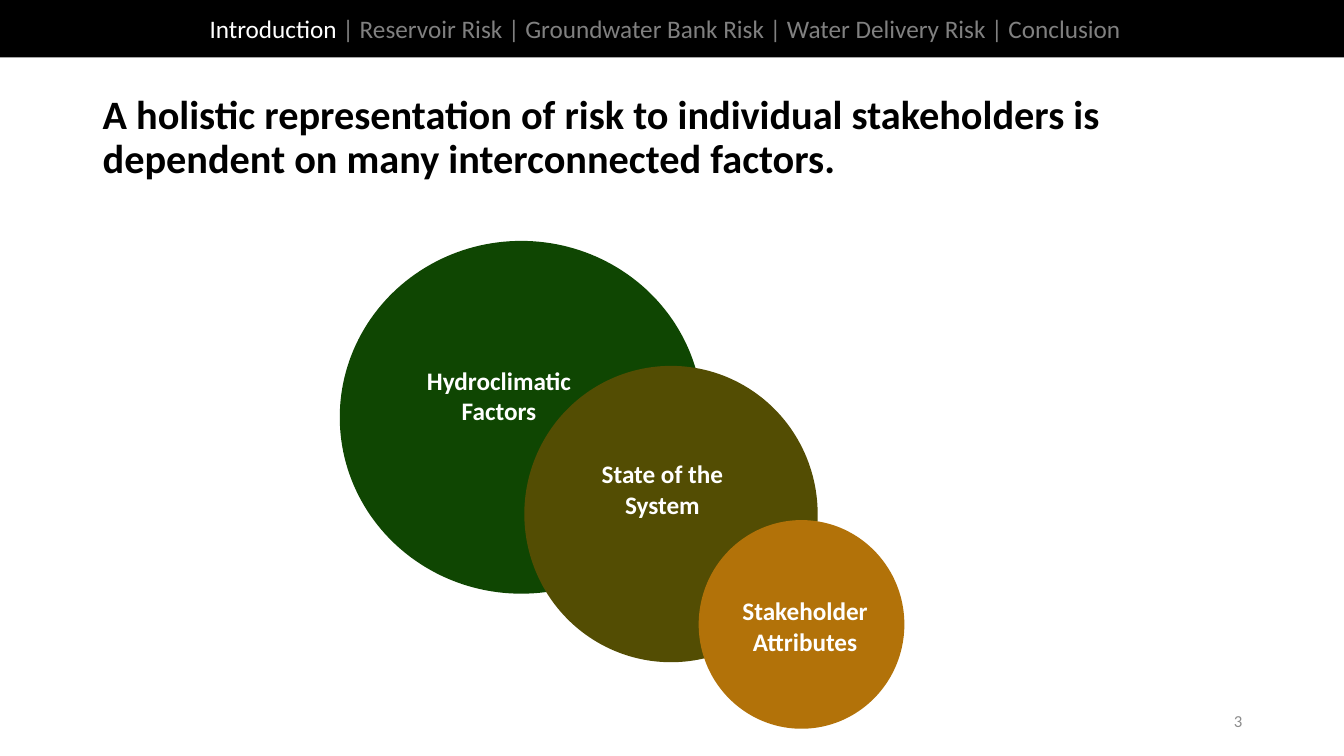
"""Build a slide on the interconnected factors behind stakeholder risk."""
from dataclasses import dataclass

from pptx import Presentation
from pptx.dml.color import RGBColor
from pptx.enum.shapes import MSO_SHAPE
from pptx.enum.text import MSO_ANCHOR, PP_ALIGN
from pptx.util import Inches, Pt


@dataclass(frozen=True)
class Theme:
    font: str = "Calibri"
    black: str = "000000"
    white: str = "FFFFFF"
    muted: str = "808080"
    number: str = "8C8C8C"
    hydroclimate: str = "0F4602"
    system: str = "534D03"
    stakeholder: str = "B27209"
    title_size: float = 28.8
    body_size: float = 18
    number_size: float = 12


theme = Theme()


def add_filled_shape(slide, kind, box, color):
    shape = slide.shapes.add_shape(kind, *map(Inches, box))
    shape.shadow.inherit = False
    shape.fill.solid()
    shape.fill.fore_color.rgb = RGBColor.from_string(color)
    shape.line.fill.background()
    return shape


def write_text(shape, text, size, color, alignment, bold=False, anchor=MSO_ANCHOR.TOP):
    frame = shape.text_frame
    frame.word_wrap = True
    frame.vertical_anchor = anchor
    frame.text = text
    for paragraph in frame.paragraphs:
        paragraph.alignment = alignment
        for run in paragraph.runs:
            run.font.name = theme.font
            run.font.size = Pt(size)
            run.font.bold = bold
            run.font.color.rgb = RGBColor.from_string(color)


presentation = Presentation()
presentation.slide_width = Inches(13.33)
presentation.slide_height = Inches(7.5)
slide = presentation.slides.add_slide(presentation.slide_layouts[6])

title = slide.shapes.add_textbox(Inches(0.92), Inches(0.65), Inches(11.5), Inches(1.45))
write_text(
    title,
    "A holistic representation of risk to individual stakeholders is "
    "dependent on many interconnected factors.",
    theme.title_size, theme.black, PP_ALIGN.LEFT, bold=True, anchor=MSO_ANCHOR.MIDDLE,
)
title.text_frame.paragraphs[0].line_spacing = 0.9

slide_number = slide.shapes.add_textbox(Inches(9.42), Inches(6.95), Inches(3), Inches(0.4))
write_text(slide_number, "3", theme.number_size, theme.number, PP_ALIGN.RIGHT,
           anchor=MSO_ANCHOR.MIDDLE)

factors = [
    ("Hydroclimatic\nFactors", theme.hydroclimate,
     (3.37, 2.39, 3.6, 3.5), (3.98, 3.57, 1.94, 0.71)),
    ("State of the System", theme.system,
     (5.2, 3.63, 2.91, 2.94), (5.83, 4.5, 1.48, 1.01)),
    ("Stakeholder\nAttributes", theme.stakeholder,
     (6.93, 5.16, 2.04, 2.07), (7.14, 5.86, 1.69, 0.71)),
]
for name, color, circle_box, label_box in factors:
    add_filled_shape(slide, MSO_SHAPE.OVAL, circle_box, color)
for name, color, circle_box, label_box in factors:
    label = slide.shapes.add_textbox(*map(Inches, label_box))
    write_text(label, name, theme.body_size, theme.white, PP_ALIGN.CENTER, bold=True)

current_section = "Introduction"
later_sections = ["Reservoir Risk", "Groundwater Bank Risk", "Water Delivery Risk", "Conclusion"]
navigation = add_filled_shape(slide, MSO_SHAPE.RECTANGLE, (0, 0, 13.33, 0.57), theme.black)
write_text(navigation, current_section, theme.body_size, theme.white, PP_ALIGN.CENTER,
           anchor=MSO_ANCHOR.MIDDLE)
navigation.text_frame.margin_right = Inches(0.23)
remainder = navigation.text_frame.paragraphs[0].add_run()
remainder.text = "".join(f" | {section}" for section in later_sections)
remainder.font.name = theme.font
remainder.font.size = Pt(theme.body_size)
remainder.font.color.rgb = RGBColor.from_string(theme.muted)

presentation.save("out.pptx")
